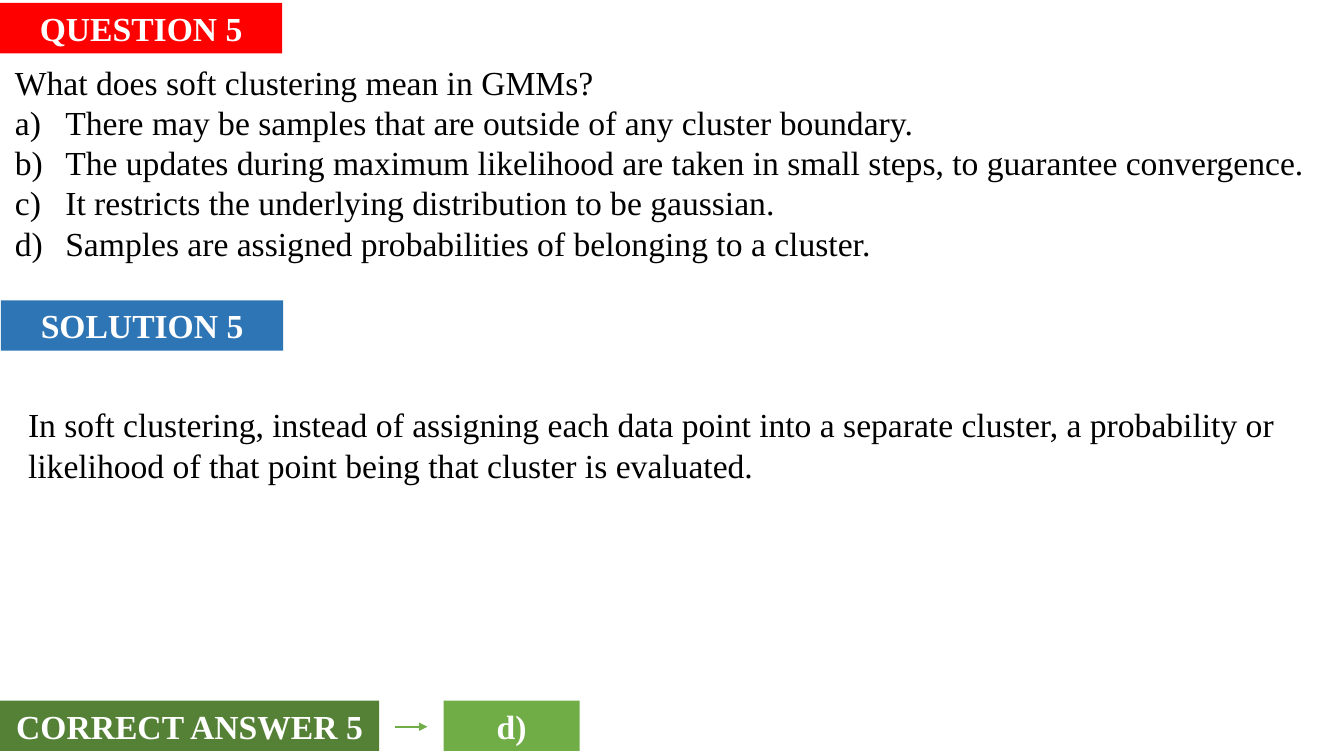
from dataclasses import dataclass

from lxml import etree
from pptx import Presentation
from pptx.dml.color import RGBColor
from pptx.enum import shapes, text
from pptx.oxml import ns
from pptx.util import Inches, Pt


@dataclass(frozen=True)
class Theme:
    font: str = "Times New Roman"
    size: int = 24
    ink: str = "000000"
    label_ink: str = "FFFFFF"
    question: str = "FF0000"
    solution: str = "2E75B5"
    answer: str = "548135"
    choice: str = "70AD47"


THEME = Theme()
LABEL_HEIGHT = 0.5
ANSWER_TOP = 6.95

QUESTION = "What does soft clustering mean in GMMs?"
OPTIONS = [
    "There may be samples that are outside of any cluster boundary.",
    "The updates during maximum likelihood are taken in small steps, to guarantee convergence.",
    "It restricts the underlying distribution to be gaussian.",
    "Samples are assigned probabilities of belonging to a cluster.",
]
EXPLANATION = (
    "In soft clustering, instead of assigning each data point into a separate cluster, "
    "a probability or likelihood of that point being that cluster is evaluated."
)


def format_runs(text_frame, color, bold=False):
    for paragraph in text_frame.paragraphs:
        for run in paragraph.runs:
            run.font.name = THEME.font
            run.font.size = Pt(THEME.size)
            run.font.bold = bold
            run.font.color.rgb = RGBColor.from_string(color)


def add_label(slide, caption, left, top, width, fill):
    shape = slide.shapes.add_shape(
        shapes.MSO_SHAPE.RECTANGLE,
        Inches(left), Inches(top), Inches(width), Inches(LABEL_HEIGHT),
    )
    shape.shadow.inherit = False
    shape.fill.solid()
    shape.fill.fore_color.rgb = RGBColor.from_string(fill)
    shape.line.fill.background()
    text_frame = shape.text_frame
    text_frame.text = caption
    text_frame.word_wrap = True
    text_frame.vertical_anchor = text.MSO_ANCHOR.TOP
    text_frame.paragraphs[0].alignment = text.PP_ALIGN.CENTER
    format_runs(text_frame, THEME.label_ink, bold=True)


def add_text(slide, lines, left, top, width, height):
    box = slide.shapes.add_textbox(
        Inches(left), Inches(top), Inches(width), Inches(height)
    )
    text_frame = box.text_frame
    text_frame.word_wrap = True
    text_frame.text = "\n".join(lines)
    format_runs(text_frame, THEME.ink)
    return text_frame


def letter_options(paragraphs):
    """Number the paragraphs a), b), c)... with a hanging indent."""
    for paragraph in paragraphs:
        properties = paragraph._p.get_or_add_pPr()
        properties.set("marL", str(Inches(0.5)))
        properties.set("indent", str(-Inches(0.5)))
        etree.SubElement(properties, ns.qn("a:buAutoNum"), type="alphaLcParenR")


def add_arrow(slide, start, end, top, color):
    arrow = slide.shapes.add_connector(
        shapes.MSO_CONNECTOR.STRAIGHT,
        Inches(start), Inches(top), Inches(end), Inches(top),
    )
    arrow.line.color.rgb = RGBColor.from_string(color)
    arrow.line.width = Pt(1.5)
    properties = arrow._element.spPr
    etree.SubElement(properties.find(ns.qn("a:ln")), ns.qn("a:tailEnd"), type="triangle")
    etree.SubElement(properties, ns.qn("a:effectLst"))


def main():
    presentation = Presentation()
    presentation.slide_width = Inches(13.33)
    presentation.slide_height = Inches(7.5)
    slide = presentation.slides.add_slide(presentation.slide_layouts[6])

    add_label(slide, "QUESTION 5", 0, 0.03, 2.8, THEME.question)
    question = add_text(slide, [QUESTION, *OPTIONS], 0.05, 0.56, 13.1, 2.12)
    letter_options(question.paragraphs[1:])

    add_label(slide, "SOLUTION 5", 0.01, 2.98, 2.8, THEME.solution)
    add_text(slide, [EXPLANATION], 0.18, 3.96, 12.59, 0.91)

    add_label(slide, "CORRECT ANSWER 5", 0, ANSWER_TOP, 3.76, THEME.answer)
    add_label(slide, "d)", 4.4, ANSWER_TOP, 1.35, THEME.choice)
    add_arrow(slide, 3.92, 4.24, 7.21, THEME.choice)

    presentation.save("out.pptx")


if __name__ == "__main__":
    main()
